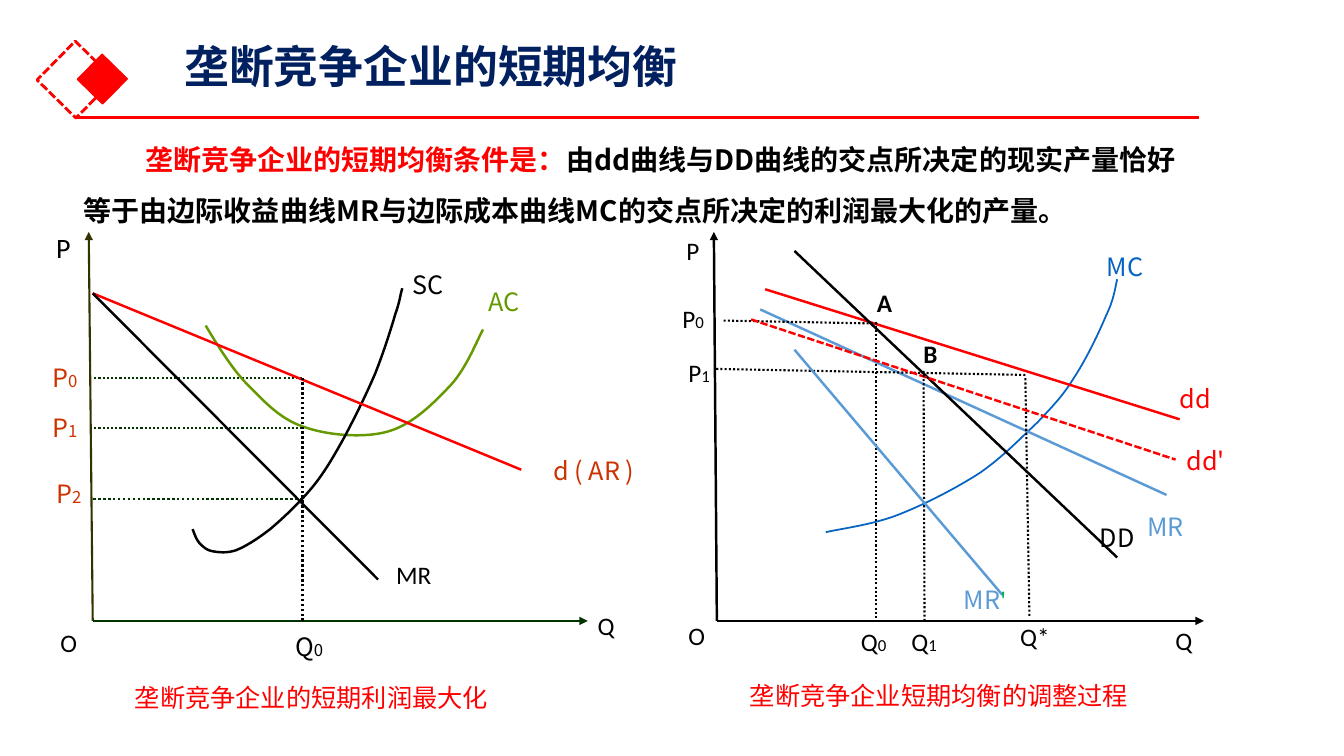
from lxml.etree import SubElement
from pptx import Presentation
from pptx.dml.color import RGBColor
from pptx.enum.dml import MSO_LINE
from pptx.enum.shapes import MSO_CONNECTOR, MSO_SHAPE
from pptx.enum.text import MSO_ANCHOR
from pptx.oxml.ns import qn
from pptx.util import Inches, Pt

SANS, LATIN = "Noto Sans CJK SC", "Calibri"
RED, BLACK, NAVY = "FF0000", "000000", "002060"
GREEN, DARK, OLIVE, RUST = "669900", "003300", "333300", "CC3300"
BLUE, SKY, LEAF = "0563C1", "5B9BD5", "00B050"
DOT, DASH = MSO_LINE.ROUND_DOT, MSO_LINE.SQUARE_DOT

DIAMONDS = [(0.48, 0.52, 0.54, None), (0.84, 0.61, 0.35, RED)]
TITLE = "垄断竞争企业的短期均衡"
CONDITION = [
    ("垄断竞争企业的短期均衡条件是：", 20, RED),
    ("由dd曲线与DD曲线的交点所决定的现实产量恰好等于由边际收益曲线MR与边际成本曲线MC的"
     "交点所决定的利润最大化的产量。", 20, BLACK),
]
CAPTIONS = [
    ("垄断竞争企业的短期利润最大化", 1.24, 6.72, 3.99),
    ("垄断竞争企业短期均衡的调整过程", 7.34, 6.7, 4.17),
]

AXES = [
    ((0.92, 6.16), (0.88, 2.3), OLIVE, 1.5),
    ((0.92, 6.16), (5.83, 6.16), DARK, 1.75),
    ((7.11, 6.16), (7.08, 2.3), BLACK, 1.75),
    ((7.11, 6.16), (11.94, 6.16), BLACK, 1.75),
]
Q0_X = 3
PRICES = [(3.75, 1.5), (4.25, 1.5), (4.95, 1.75)]
LINES = [
    ((0.75, 1.17), (11.89, 1.17), RED, 2.25, None),
    ((0.92, 2.91), (5.17, 4.66), RED, 1.75, None),
    ((0.92, 2.91), (3.75, 5.75), BLACK, 1.75, None),
    ((Q0_X, 6.16), (Q0_X, 3.75), BLACK, 1.75, DOT),
    ((7.59, 2.87), (11.7, 4.16), RED, 1.75, None),
    ((7.54, 3.07), (11.57, 4.91), SKY, 1.75, None),
    ((10.21, 6.11), (10.17, 3.75), BLACK, 1.5, DOT),
    ((8.7, 3.21), (7.16, 3.18), BLACK, 1.5, DOT),
    ((8.69, 3.19), (8.69, 6.16), BLACK, 1.5, DOT),
    ((7.88, 2.49), (11.08, 5.53), BLACK, 1.75, None),
    ((10.17, 3.72), (7.1, 3.66), BLACK, 1.5, DOT),
    ((7.45, 3.17), (11.66, 4.56), RED, 1.75, DASH),
    ((9.17, 6.16), (9.16, 3.68), BLACK, 1.5, DOT),
    ((7.88, 3.47), (9.94, 5.9), SKY, 1.75, None),
]
AC = [(2.04, 3.23), (2.1, 3.33), (2.27, 3.62), (2.43, 3.79), (2.59, 3.95),
      (2.76, 4.15), (3, 4.23), (3.24, 4.32), (3.61, 4.35), (3.85, 4.28),
      (4.1, 4.21), (4.32, 3.98), (4.48, 3.81), (4.63, 3.64), (4.73, 3.38),
      (4.79, 3.27)]
SC = [(1.91, 5.25), (1.93, 5.3), (1.95, 5.36), (1.98, 5.39), (2.02, 5.43),
      (2.05, 5.46), (2.11, 5.47), (2.17, 5.48), (2.25, 5.49), (2.34, 5.46),
      (2.44, 5.42), (2.55, 5.35), (2.68, 5.25), (2.81, 5.14), (2.98, 4.98),
      (3.11, 4.82), (3.23, 4.67), (3.32, 4.51), (3.42, 4.33), (3.52, 4.14),
      (3.63, 3.92), (3.72, 3.71), (3.8, 3.51), (3.88, 3.26), (3.92, 3.12),
      (3.97, 2.98), (3.97, 2.92), (3.99, 2.86)]
MC = [(8.19, 5.28), (8.31, 5.25), (8.64, 5.21), (8.9, 5.11), (9.16, 5.01),
      (9.49, 4.84), (9.72, 4.69), (9.95, 4.53), (10.13, 4.34), (10.29, 4.19),
      (10.44, 4.03), (10.54, 3.93), (10.65, 3.75), (10.77, 3.57), (10.9, 3.3),
      (10.97, 3.13), (11.05, 2.97), (11.06, 2.85), (11.08, 2.77)]
CURVES = [(AC, GREEN, 1.75), (SC, BLACK, 1.75), (MC, BLUE, 1.25)]

LABELS = [
    ("P", "", 0.46, 2.24, 0.5, 0.42, LATIN, BLACK, 20),
    ("Q", "", 5.83, 5.99, 0.5, 0.42, LATIN, BLACK, 18),
    ("O", "", 0.5, 6.16, 0.5, 0.42, LATIN, BLACK, 18),
    ("AC", "", 4.75, 2.74, 0.75, 0.5, SANS, GREEN, 18),
    ("SC", "", 3.99, 2.57, 0.75, 0.5, SANS, BLACK, 18),
    ("d ( AR )", "", 5.39, 4.5, 1.2, 0.33, SANS, RUST, 18),
    ("MR", "", 3.83, 5.49, 0.75, 0.42, LATIN, BLACK, 18),
    ("Q", "0", 2.83, 6.25, 0.65, 0.33, SANS, BLACK, 18),
    ("P", "0", 0.42, 3.58, 0.65, 0.33, SANS, RUST, 18),
    ("P", "1", 0.42, 4.08, 0.65, 0.33, SANS, RUST, 18),
    ("P", "2", 0.46, 4.73, 0.65, 0.33, SANS, RUST, 18),
    ("P", "", 6.71, 2.27, 0.5, 0.42, LATIN, BLACK, 18),
    ("Q", "", 11.56, 6.14, 0.5, 0.42, LATIN, BLACK, 18),
    ("O", "", 6.73, 6.09, 0.5, 0.42, LATIN, BLACK, 18),
    ("dd", "", 11.6, 3.75, 0.75, 0.41, SANS, RED, 18),
    ("MC", "", 10.88, 2.49, 0.75, 0.31, SANS, BLUE, 18),
    ("MR", "", 11.28, 4.99, 1.07, 0.46, SANS, SKY, 18),
    ("Q*", "", 10.02, 6.19, 0.65, 0.25, LATIN, BLACK, 18),
    ("P", "0", 6.67, 2.95, 0.65, 0.42, LATIN, BLACK, 18),
    ("Q", "0", 8.44, 6.24, 0.65, 0.24, LATIN, BLACK, 18),
    ("DD", "", 10.81, 5.14, 0.75, 0.39, SANS, BLACK, 18),
    ("P", "1", 6.73, 3.53, 0.65, 0.33, LATIN, BLACK, 18),
    ("dd'", "", 11.67, 4.4, 0.8, 0.33, SANS, RED, 18),
    ("Q", "1", 8.94, 6.13, 0.65, 0.46, LATIN, BLACK, 18),
    ("MR", "'", 9.46, 5.71, 1.05, 0.48, SANS, SKY, 18),
]
POINTS = [("B", 9.06, 3.3), ("A", 8.6, 2.79)]


def rgb(code):
    return RGBColor.from_string(code)


def add_text(runs, x, y, w, h, font=SANS, bold=False, wrap=False,
             anchor=MSO_ANCHOR.MIDDLE):
    tf = s.shapes.add_textbox(Inches(x), Inches(y), Inches(w), Inches(h)).text_frame
    tf.word_wrap = wrap
    tf.vertical_anchor = anchor
    p = tf.paragraphs[0]
    p.font.name = font
    p.font.bold = bold
    SubElement(p.font._element, qn("a:ea")).set("typeface", font)
    for text, size, color in runs:
        r = p.add_run()
        r.text = text
        r.font.size = Pt(size)
        r.font.color.rgb = rgb(color)
    return tf


def style_line(line, color, width, dash=None):
    line.color.rgb = rgb(color)
    line.width = Pt(width)
    if dash:
        line.dash_style = dash


def add_line(start, end, color, width, dash=None, arrow=False):
    c = s.shapes.add_connector(MSO_CONNECTOR.STRAIGHT, *map(Inches, start + end))
    style_line(c.line, color, width, dash)
    if arrow:
        SubElement(c.line._get_or_add_ln(), qn("a:tailEnd")).set("type", "triangle")
    SubElement(c._element.spPr, qn("a:effectLst"))


def add_curve(points, color, width):
    start, *rest = points
    fb = s.shapes.build_freeform(*map(Inches, start))
    fb.add_line_segments([tuple(map(Inches, pt)) for pt in rest], close=False)
    sp = fb.convert_to_shape()
    steps = list(sp._element.iter(qn("a:lnTo")))
    outline = steps[0].getparent()
    for i in range(0, len(steps), 3):
        bezier = SubElement(outline, qn("a:cubicBezTo"))
        for step in steps[i:i + 3]:
            bezier.append(step[0])
            outline.remove(step)
    sp.fill.background()
    sp.shadow.inherit = False
    style_line(sp.line, color, width)


prs = Presentation()
prs.slide_width, prs.slide_height = Inches(13.33), Inches(7.5)
s = prs.slides.add_slide(prs.slide_layouts[6])

for x, y, size, fill in DIAMONDS:
    sp = s.shapes.add_shape(MSO_SHAPE.RECTANGLE, *map(Inches, (x, y, size, size)))
    sp.rotation = 314.5
    sp.shadow.inherit = False
    if fill:
        sp.fill.solid()
        sp.fill.fore_color.rgb = rgb(fill)
        style_line(sp.line, RED, 1)
    else:
        sp.fill.background()
        style_line(sp.line, RED, 2, DASH)

add_text([(TITLE, 32, NAVY)], 1.73, 0.36, 11.5, 0.58, bold=True, wrap=True)
tf = add_text(CONDITION, 0.76, 1.2, 11.15, 1.1, bold=True, wrap=True,
              anchor=MSO_ANCHOR.TOP)
tf.margin_left = tf.margin_right = Inches(0.07)
tf.margin_top = tf.margin_bottom = Inches(0.04)
p = tf.paragraphs[0]
p.line_spacing = Pt(36.4)
p._p.get_or_add_pPr().set("indent", str(Inches(0.61)))

for axis in AXES:
    add_line(*axis, arrow=True)
for y, width in PRICES:
    add_line((Q0_X, y), (0.92, y), DARK, width, DOT)
for curve in CURVES:
    add_curve(*curve)
for line in LINES:
    add_line(*line)

for text, mark, x, y, w, h, font, color, size in LABELS:
    runs = [(text, size, color)]
    if mark:
        runs.append((mark, 16, LEAF) if mark == "'" else (mark, 12, color))
    add_text(runs, x, y, w, h, font)
for text, x, y in POINTS:
    add_text([(text, 18, BLACK)], x, y, 0.5, 0.42, LATIN, bold=True)
for text, x, y, w in CAPTIONS:
    add_text([(text, 18, RED)], x, y, w, 0.71, wrap=True, anchor=MSO_ANCHOR.TOP)

prs.save("out.pptx")
